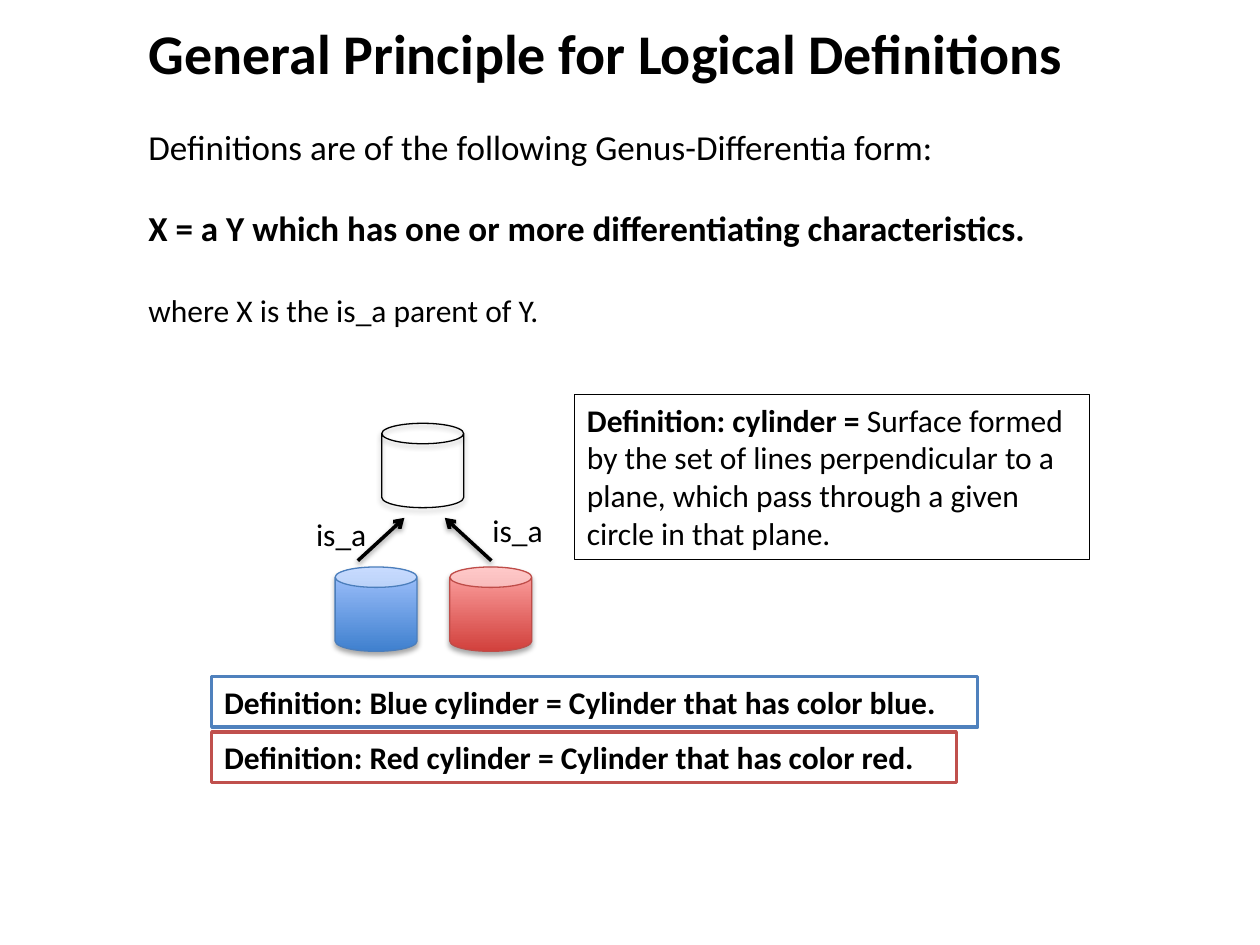
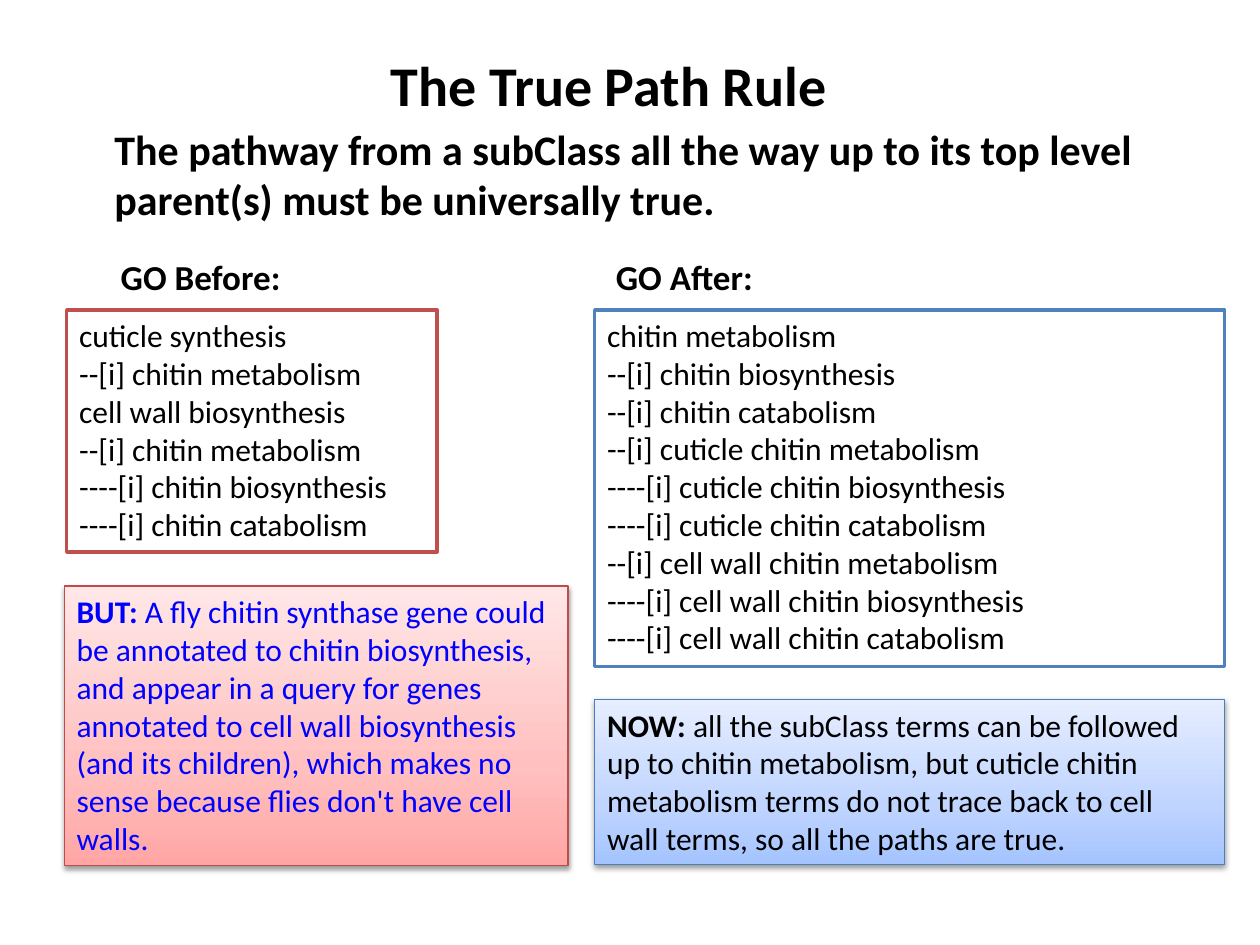
from lxml import etree
from pptx import Presentation, util as u
from pptx.dml.color import RGBColor
from pptx.enum import shapes as es, text as et
from pptx.oxml.ns import qn

INK = {"black": "000000", "white": "FFFFFF", "text": "0000FF",
       "red": "C0504D", "blue": "4F81BD", "redrim": "BF4C48", "bluerim": "4B7EBC"}
FADE = {
    "redcan": [(0, "D1403C"), (100, "FFA6A5")],
    "bluecan": [(0, "3F80CE"), (100, "A4C4FF")],
    "rednote": [(0, "FFA6A5"), (35, "FFC0BF"), (100, "FFE7E7")],
    "bluenote": [(0, "A4C4FF"), (35, "BFD4FF"), (100, "E6EEFF")],
}
FONT = "Calibri"
SIZE = (10, 7.5)
CAN = (0.65, 0.67)

TITLES = [
    ("General Principle for Logical Definitions", (1.08, 0.1, 8.53, 0.64)),
    ("The True Path Rule", (3, 0.35, 3.69, 0.64)),
]

FORM = [
    ("Definitions are of the following Genus-Differentia form:", False, 20, 0),
    ("X = a Y which has one or more differentiating characteristics.", True, 20, 22),
    ("where X is the is_a parent of Y.", False, 18, 24.4),
]
CANS = [
    (3.03, 3.36, None, "black"),
    (3.57, 4.5, "redcan", "redrim"),
    (2.66, 4.5, "bluecan", "bluerim"),
]
MID, NEAR, FAR = 3.37, 0.16, 0.53
LINKS = [(2.41, 4.04), (3.81, 4.01)]
KINDS = [
    ("Definition: Blue cylinder = Cylinder that has color blue.", 6.08, "blue"),
    ("Definition: Red cylinder = Cylinder that has color red.", 5.91, "red"),
]
BASE = [("Definition: cylinder = ", True),
        ("Surface formed by the set of lines perpendicular to a plane, "
         "which pass through a given circle in that plane.", False)]

RULE = ("The pathway from a subClass all the way up to its top level "
        "parent(s) must be universally true.")
TREES = [
    ("GO Before:", (0.86, 1.98, 1.48, 0.44), (0.53, 2.46, 2.94, 1.92), "red",
     [(0, "cuticle synthesis"), (1, "chitin metabolism"),
      (0, "cell wall biosynthesis"), (1, "chitin metabolism"),
      (2, "chitin biosynthesis"), (2, "chitin catabolism")]),
    ("GO After:", (4.79, 1.98, 1.3, 0.44), (4.72, 2.46, 5, 2.83), "blue",
     [(0, "chitin metabolism"), (1, "chitin biosynthesis"),
      (1, "chitin catabolism"), (1, "cuticle chitin metabolism"),
      (2, "cuticle chitin biosynthesis"), (2, "cuticle chitin catabolism"),
      (1, "cell wall chitin metabolism"), (2, "cell wall chitin biosynthesis"),
      (2, "cell wall chitin catabolism")]),
]
NOTES = [
    ((0.51, 4.65, 4, 2.22), "rednote", "redrim", "text",
     [("BUT: ", True),
      ("A fly chitin synthase gene could be annotated to chitin biosynthesis, "
       "and appear in a query for genes annotated to cell wall biosynthesis "
       "(and its children), which makes no sense because flies don't have "
       "cell walls.", False)]),
    ((4.72, 5.55, 5, 1.31), "bluenote", "bluerim", "black",
     [("NOW: ", True),
      ("all the subClass terms can be followed up to chitin metabolism, but "
       "cuticle chitin metabolism terms do not trace back to cell wall terms, "
       "so all the paths are true.", False)]),
]


def rgb(name):
    return RGBColor.from_string(INK[name])


def span(at):
    return [u.Inches(v) for v in at]


def node(up, tag, **kw):
    return etree.SubElement(up, qn("a:" + tag), {k: str(v) for k, v in kw.items()})


def rim(shape, tone, wide):
    shape.line.color.rgb = rgb(tone)
    shape.line.width = u.Pt(wide)


def fade(shape, name):
    shape.fill.gradient()
    shape.fill.gradient_angle = 90
    stops = shape._element.spPr.find(qn("a:gradFill")).find(qn("a:gsLst"))
    for old in list(stops):
        stops.remove(old)
    for pos, tone in FADE[name]:
        node(node(stops, "gs", pos=pos * 1000), "srgbClr", val=tone)


def shade(shape, alpha, dist):
    pr = shape._element.spPr
    for old in pr.findall(qn("a:effectLst")):
        pr.remove(old)
    drop = node(node(pr, "effectLst"), "outerShdw", blurRad=u.Pt(3.1),
                dist=u.Pt(dist), dir=5400000, rotWithShape=0)
    node(node(drop, "srgbClr", val=INK["black"]), "alpha", val=alpha * 1000)


def put(para, words, bold=False, size=18, tone="black"):
    run = para.add_run()
    run.text = words
    font = run.font
    font.name, font.size, font.bold = FONT, u.Pt(size), bold
    font.color.rgb = rgb(tone)


def box(slide, at, paras, wrap=True, size=18, tone="black", line=None, wide=2, fill=None):
    shape = slide.shapes.add_textbox(*span(at))
    frame = shape.text_frame
    frame.word_wrap = wrap
    frame.auto_size = et.MSO_AUTO_SIZE.SHAPE_TO_FIT_TEXT
    for i, runs in enumerate(paras):
        para = frame.add_paragraph() if i else frame.paragraphs[0]
        for words, bold in runs:
            put(para, words, bold, size, tone)
    if fill in FADE:
        fade(shape, fill)
    elif fill:
        shape.fill.solid()
        shape.fill.fore_color.rgb = rgb(fill)
    if line:
        rim(shape, line, wide)
    return shape


def start(deck, words, at):
    slide = deck.slides.add_slide(deck.slide_layouts[5])
    head = slide.shapes.title
    head.left, head.top, head.width, head.height = span(at)
    frame = head.text_frame
    frame.word_wrap = False
    frame.auto_size = et.MSO_AUTO_SIZE.SHAPE_TO_FIT_TEXT
    frame.vertical_anchor = et.MSO_ANCHOR.TOP
    para = frame.paragraphs[0]
    para.alignment = et.PP_ALIGN.LEFT
    put(para, words, True, 32)
    return slide


def logic(slide):
    frame = box(slide, (1.08, 0.95, 8.53, 1.71), []).text_frame
    for i, (words, bold, size, gap) in enumerate(FORM):
        para = frame.add_paragraph() if i else frame.paragraphs[0]
        if gap:
            para.space_before = u.Pt(gap)
        put(para, words, bold, size)

    for x, y, fill, line in CANS:
        can = slide.shapes.add_shape(es.MSO_SHAPE.CAN, *span((x, y) + CAN))
        if fill:
            fade(can, fill)
        else:
            can.fill.background()
        rim(can, line, 0.75)
        can.shadow.inherit = False
        shade(can, 35, 1.8)

    for side in (-1, 1):
        ends = (MID + side * FAR, 4.45, MID + side * NEAR, 4.11)
        arrow = slide.shapes.add_connector(es.MSO_CONNECTOR.STRAIGHT, *span(ends))
        rim(arrow, "black", 2)
        node(arrow.line._get_or_add_ln(), "tailEnd", type="arrow")
        shade(arrow, 38, 1.6)

    for x, y in LINKS:
        box(slide, (x, y, 0.61, 0.4), [[("is_a", False)]], wrap=False)
    box(slide, (4.56, 3.13, 4.09, 1.31), [BASE], line="black", wide=0.75)
    for i, (words, width, line) in enumerate(KINDS):
        box(slide, (1.68, 5.37 + i * 0.44, width, 0.4), [[(words, True)]],
            wrap=False, line=line, fill="white")


def paths(slide):
    box(slide, (0.81, 0.93, 8.56, 0.91), [[(RULE, True)]], size=24)
    for label, spot, at, line, terms in TREES:
        box(slide, spot, [[(label, True)]], wrap=False, size=20)
        rows = [[("--" * deep + "[i] " * bool(deep) + term, False)] for deep, term in terms]
        box(slide, at, rows, line=line, fill="white")
    for at, fill, line, tone, runs in NOTES:
        note = box(slide, at, [runs], tone=tone, line=line, wide=0.75, fill=fill)
        shade(note, 38, 1.6)


def main():
    deck = Presentation()
    deck.slide_width, deck.slide_height = span(SIZE)
    for (words, at), draw in zip(TITLES, (logic, paths)):
        draw(start(deck, words, at))
    deck.save("out.pptx")


if __name__ == "__main__":
    main()
